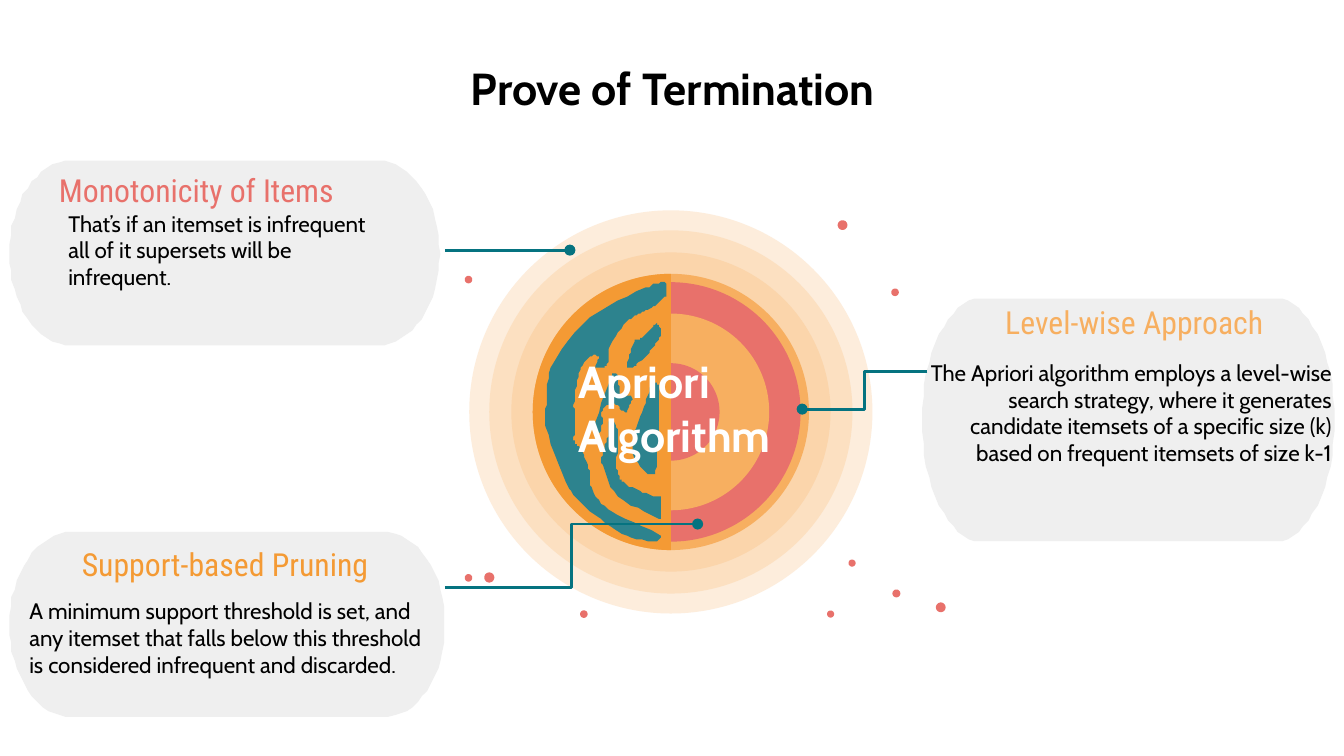
from math import cos, hypot, pi, sin
from typing import NamedTuple

from lxml import etree
from pptx import Presentation
from pptx.dml.color import RGBColor
from pptx.enum import shapes, text
from pptx.oxml import ns
from pptx.util import Pt

CORAL = RGBColor(0xE8, 0x71, 0x6B)
ORANGE = RGBColor(0xF4, 0x9A, 0x34)
AMBER = RGBColor(0xF7, 0xAF, 0x60)
HALOS = [RGBColor(0xFD, 0xED, 0xDC), RGBColor(0xFC, 0xE0, 0xC1), RGBColor(0xFB, 0xD5, 0xAB)]
LAND = RGBColor(0x2D, 0x83, 0x8E)
TEAL = RGBColor(0x05, 0x73, 0x80)
GREY = RGBColor(0xEF, 0xEF, 0xEF)
BLACK = RGBColor(0, 0, 0)
WHITE = RGBColor(255, 255, 255)
BODY, HEAD = "Cabin", "Roboto Condensed"
LEFT, CENTER, RIGHT = text.PP_ALIGN.LEFT, text.PP_ALIGN.CENTER, text.PP_ALIGN.RIGHT
STRAIGHT, ELBOW = shapes.MSO_CONNECTOR.STRAIGHT, shapes.MSO_CONNECTOR.ELBOW
OVAL, CHORD = shapes.MSO_SHAPE.OVAL, shapes.MSO_SHAPE.CHORD

Point = tuple[float, float]


class Circle(NamedTuple):
    x: float
    y: float
    d: float
    fill: RGBColor


class Box(NamedTuple):
    x: float
    y: float
    w: float
    h: float


class Label(NamedTuple):
    words: str
    box: Box
    size: int
    font: str
    color: RGBColor
    align: text.PP_ALIGN = LEFT
    bold: bool = False


class Leader(NamedTuple):
    kind: shapes.MSO_CONNECTOR
    start: Point
    end: Point


EARTH = Point((359.4, 220.7))
LAYERS = [Circle(*EARTH, d, fill) for d, fill in zip(
    (216, 194.6, 171, 148, 139, 105.4, 52.2), HALOS + [AMBER, CORAL, AMBER, CORAL])]
DOTS = [Circle(*dot, CORAL) for dot in [
    (504, 325.4, 3), (262.1, 309.4, 3.2), (451.4, 120.6, 3), (479.5, 156.6, 1.8),
    (445, 329, 1.6), (312.8, 329, 1.8), (251, 309.6, 1.8), (456.5, 301.7, 1.6),
    (480.2, 317.9, 2), (251, 149.8, 1.8)]]
CONTINENTS: list[list[Point]] = [
    [(354.2, 151.2), (346.3, 154.1), (316.1, 169.9), (295.2, 197.3), (293, 214.6),
     (292.3, 227.5), (303.1, 258.5), (309.6, 267.8), (316.1, 274.3), (333.4, 285.8),
     (349.2, 290.2), (352.8, 289.4), (353.5, 286.6), (326.2, 272.9), (316.8, 261.4),
     (315.4, 250.6), (311, 240.5), (308.2, 237.6), (307.4, 235.4), (308.2, 227.5),
     (308.2, 222.5), (307.4, 217.4), (309.6, 201.6), (313.9, 193), (320.4, 190.8),
     (319, 196.6), (321.1, 197.3), (325.4, 195.1), (326.2, 187.2), (334.1, 174.2),
     (339.8, 169.2), (346.3, 166.3), (352.8, 162), (357.1, 157.7), (356.4, 151.2)],
    [(351.4, 173.5), (349.2, 175.7), (343.4, 181.4), (339.8, 182.9), (336.2, 194.4),
     (336.2, 196.6), (337.7, 197.3), (341.3, 195.1), (347.8, 188.6), (350.6, 185),
     (354.2, 178.6), (354.2, 177.1), (352.8, 174.2)],
    [(329.8, 200.2), (327.6, 200.9), (318.2, 231.1), (320.4, 233.3), (322.6, 226.8),
     (322.6, 219.6), (327.6, 216), (333.4, 219.6), (335.5, 221), (336.2, 219.6),
     (338.4, 212.4), (334.1, 212.4), (331.9, 210.2), (331.2, 201.6)],
    [(326.9, 225.4), (326.2, 232.6), (323.3, 241.2), (322.6, 249.1), (331.2, 265.7),
     (352.8, 277.9), (354.2, 277.9), (354.2, 267.8), (353.5, 265.7), (349.9, 265.7),
     (339.1, 261.4), (334.1, 258.5), (331.2, 254.2), (329.8, 248.4), (330.5, 244.8),
     (331.2, 231.8)],
    [(351.4, 205.2), (349.2, 205.9), (344.9, 218.2), (339.8, 234), (339.1, 243.4),
     (349.2, 254.2), (352.1, 243.4), (352.8, 234), (352.8, 206.6)],
]
PILLS = [Box(494, 160, 221, 130), Box(5, 285, 233.5, 99.4), Box(5, 86.2, 230.5, 99)]
LABELS = [
    Label("Prove of Termination", Box(14.4, 24.5, 692, 45.4), 24, BODY, BLACK, CENTER, True),
    Label("Support-based Pruning", Box(36.7, 285.1, 173.5, 33.8), 17, HEAD, ORANGE),
    Label("Apriori Algorithm", Box(303.1, 179.3, 160.6, 77.8), 24, BODY, WHITE, bold=True),
    Label("Monotonicity of Items", Box(24.5, 85, 185.8, 33.8), 17, HEAD, CORAL),
    Label("That’s if an itemset is infrequent all of it supersets will be infrequent.",
          Box(29.5, 92.9, 182.2, 82.1), 12, BODY, BLACK),
    Label("A minimum support threshold is set, and any itemset that falls below this "
          "threshold is considered infrequent and discarded.",
          Box(8.6, 298.8, 234, 85.7), 12, BODY, BLACK),
    Label("The Apriori algorithm employs a level-wise search strategy, where it generates "
          "candidate itemsets of a specific size (k) based on frequent itemsets of size k-1",
          Box(486, 173.5, 234.7, 95), 12, BODY, BLACK, RIGHT),
    Label("Level-wise Approach", Box(530.6, 155.5, 153.4, 33.8), 17, HEAD, AMBER, RIGHT),
]
LEADERS = [
    Leader(STRAIGHT, (238.3, 134), (305.3, 134)),
    Leader(ELBOW, (496.8, 199.2), (429.8, 219.2)),
    Leader(ELBOW, (238.3, 314.6), (373.7, 280.8)),
]


def paint(s, fill: RGBColor) -> None:
    s.shadow.inherit = False
    s.fill.solid()
    s.fill.fore_color.rgb = fill
    s.line.fill.background()


def add_circle(sp, c: Circle, kind=OVAL):
    s = sp.add_shape(kind, Pt(c.x - c.d / 2), Pt(c.y - c.d / 2), Pt(c.d), Pt(c.d))
    paint(s, c.fill)
    return s


def add_outline(sp, points: list[Point], fill: RGBColor) -> None:
    builder = sp.build_freeform(*points[0], scale=float(Pt(1)))
    builder.add_line_segments(points[1:], close=True)
    paint(builder.convert_to_shape(), fill)


def smooth(points: list[Point], steps: int = 6) -> list[Point]:
    """Round off a closed polygon with one cubic per side, sampled in steps."""
    n = len(points)
    tangents = []
    for i in range(n):
        (ax, ay), (bx, by) = points[i - 1], points[(i + 1) % n]
        size = hypot(bx - ax, by - ay)
        tangents.append(((bx - ax) / size, (by - ay) / size))
    curve = []
    for i in range(n):
        j = (i + 1) % n
        p, q = points[i], points[j]
        reach = hypot(q[0] - p[0], q[1] - p[1]) / 3
        for t in (k / steps for k in range(steps)):
            u = 1 - t
            curve.append(tuple(
                u**3 * p[a] + 3 * u * u * t * (p[a] + reach * tangents[i][a])
                + 3 * u * t * t * (q[a] - reach * tangents[j][a]) + t**3 * q[a]
                for a in (0, 1)))
    return curve


def pill(b: Box, steps: int = 32) -> list[Point]:
    """Outline a box whose ends are half ellipses, each a seventh of its width."""
    rx, ry = b.w / 7, b.h / 2
    turns = [pi * k / steps - pi / 2 for k in range(steps + 1)]
    ends = [(b.x + b.w - rx, 1), (b.x + rx, -1)]
    return [(x + side * rx * cos(a), b.y + ry + side * ry * sin(a))
            for x, side in ends for a in turns]


def add_label(sp, label: Label) -> None:
    tf = sp.add_textbox(*map(Pt, label.box)).text_frame
    tf.word_wrap = True
    tf.vertical_anchor = text.MSO_ANCHOR.MIDDLE
    tf.margin_left = tf.margin_right = tf.margin_top = tf.margin_bottom = Pt(7.2)
    tf.text = label.words
    p = tf.paragraphs[0]
    p.alignment = label.align
    font = p.runs[0].font
    font.name, font.size, font.bold = label.font, Pt(label.size), label.bold
    font.color.rgb = label.color


def add_leader(sp, leader: Leader) -> None:
    s = sp.add_connector(leader.kind, *map(Pt, leader.start + leader.end))
    s.line.color.rgb = TEAL
    s.line.width = Pt(1.5)
    etree.SubElement(s.line._get_or_add_ln(), ns.qn("a:tailEnd"), type="oval")
    etree.SubElement(s._element.spPr, ns.qn("a:effectLst"))


def main() -> None:
    prs = Presentation()
    prs.slide_width, prs.slide_height = Pt(720), Pt(405)
    sp = prs.slides.add_slide(prs.slide_layouts[6]).shapes
    for dot in DOTS:
        s = add_circle(sp, dot)
        s.line.color.rgb = CORAL
        s.line.width = Pt(2.25)
    for layer in LAYERS:
        add_circle(sp, layer)
    surface = add_circle(sp, Circle(*EARTH, 148, ORANGE), CHORD)
    surface.adjustments[0], surface.adjustments[1] = 54, 162  # 90° to 270°
    for coast in CONTINENTS:
        add_outline(sp, smooth(coast), LAND)
    for box in PILLS:
        add_outline(sp, pill(box), GREY)
    for label in LABELS:
        add_label(sp, label)
    for leader in LEADERS:
        add_leader(sp, leader)
    prs.save("out.pptx")


if __name__ == "__main__":
    main()
